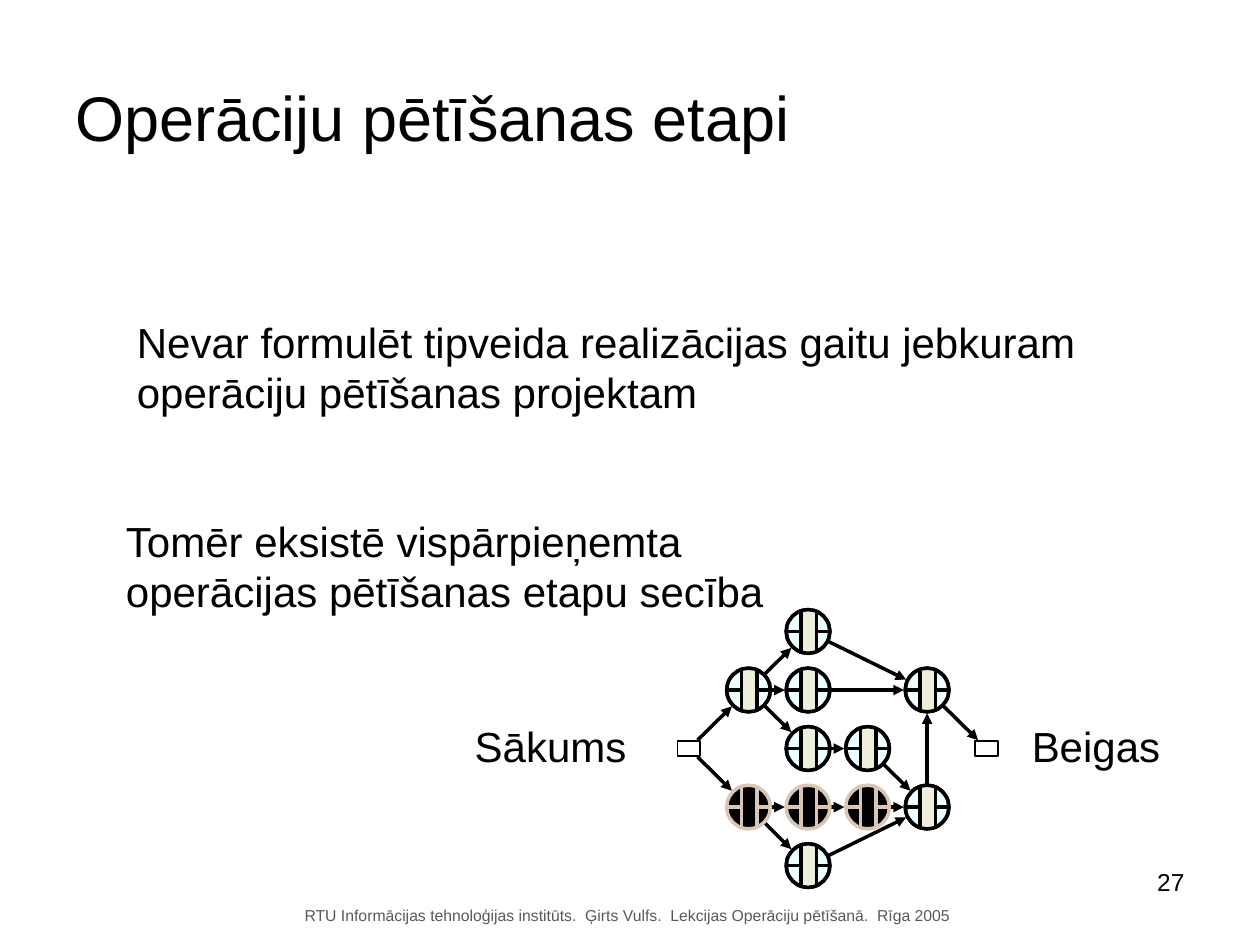
from dataclasses import dataclass
from math import hypot, sqrt

from lxml.etree import SubElement
from pptx import Presentation
from pptx.dml.color import RGBColor
from pptx.enum.shapes import MSO_CONNECTOR, MSO_SHAPE
from pptx.enum.text import MSO_ANCHOR, MSO_AUTO_SIZE, PP_ALIGN
from pptx.oxml.ns import qn
from pptx.util import Cm, Pt


@dataclass(frozen=True)
class Theme:
    font: str = "Arial"
    ink: str = "000000"
    muted: str = "595959"
    paper: str = "FFFFFF"
    disc: str = "EEFFFF"
    band: str = "EEEEDC"
    sand: str = "D9C6B4"
    title: int = 36
    body: int = 24
    number: int = 14
    footer: int = 9
    thin: int = 1
    thick: int = 2


THEME = Theme()

FOOTER = "RTU Informācijas tehnoloģijas institūts.  Ģirts Vulfs.  Lekcijas Operāciju pētīšanā.  Rīga 2005"
TEXTS = [
    ([FOOTER], (5.89, 18.14, 13.54, 0.64), THEME.footer, THEME.muted),
    (["Nevar formulēt tipveida realizācijas gaitu jebkuram", "operāciju pētīšanas projektam"],
     (2.51, 6.25, 19.43, 2.29), THEME.body, THEME.ink),
    (["Tomēr eksistē vispārpieņemta", "operācijas pētīšanas etapu secība"],
     (2.29, 10.26, 13.36, 2.29), THEME.body, THEME.ink),
    (["Sākums"], (9.32, 14.4, 3.56, 1.27), THEME.body, THEME.ink),
    (["Beigas"], (20.55, 14.4, 3.1, 1.27), THEME.body, THEME.ink),
]

START, END = (-1, 2), (4, 2)
LIGHT_NODES = [(1, 1), (3, 3), (1, 2), (2, 2), (1, 4), (0, 1), (3, 1), (1, 0)]
DARK_NODES = [(2, 3), (1, 3), (0, 3)]
ARROWS = [
    (START, (0, 1)), (START, (0, 3)),
    ((0, 1), (1, 2)), ((1, 2), (2, 2)), ((0, 1), (1, 0)), ((0, 1), (1, 1)),
    ((1, 1), (3, 1)), ((1, 0), (3, 1)), ((3, 1), END), ((3, 3), (3, 1)),
    ((2, 2), (3, 3)), ((1, 3), (2, 3)), ((2, 3), (3, 3)), ((1, 4), (3, 3)),
    ((0, 3), (1, 3)), ((0, 3), (1, 4)),
]

GRID_LEFT, GRID_TOP = 15.09, 12.73
COLUMN_STEP, ROW_STEP = 1.2, 1.18
RADIUS = 0.44
NODE_GAP, TERMINAL_GAP = 0.47, 0.24
BAND_LEFT, BAND_RIGHT, BAND_HALF = -0.14, 0.17, 0.39
BAND_STEPS = 4
TERMINAL_WIDTH, TERMINAL_HEIGHT = 0.46, 0.3


def color(code):
    return RGBColor.from_string(code)


def center(cell):
    column, row = cell
    return GRID_LEFT + column * COLUMN_STEP, GRID_TOP + row * ROW_STEP


def add_text(page, lines, place, size, ink, wrap=False, align=PP_ALIGN.LEFT, anchor=MSO_ANCHOR.TOP):
    box = page.shapes.add_textbox(*map(Cm, place))
    frame = box.text_frame
    frame.word_wrap = wrap
    frame.auto_size = MSO_AUTO_SIZE.NONE if wrap else MSO_AUTO_SIZE.SHAPE_TO_FIT_TEXT
    frame.vertical_anchor = anchor
    for index, line in enumerate(lines):
        para = frame.add_paragraph() if index else frame.paragraphs[0]
        para.alignment = align
        span = para.add_run()
        span.text = line
        span.font.name = THEME.font
        span.font.size = Pt(size)
        span.font.color.rgb = color(ink)


def paint(shape, fill, line, width):
    shape.shadow.inherit = False
    if fill:
        shape.fill.solid()
        shape.fill.fore_color.rgb = color(fill)
    else:
        shape.fill.background()
    shape.line.color.rgb = color(line)
    shape.line.width = Pt(width)


def add_line(group, start, finish, ink, arrow=False):
    line = group.shapes.add_connector(MSO_CONNECTOR.STRAIGHT, *map(Cm, (*start, *finish)))
    line.line.color.rgb = color(ink)
    line.line.width = Pt(THEME.thick)
    properties = line.element.spPr
    if arrow:
        SubElement(properties.find(qn("a:ln")), qn("a:tailEnd"), type="triangle")
    SubElement(properties, qn("a:effectLst"))


def add_arrow(group, source, target):
    (x1, y1), (x2, y2) = center(source), center(target)
    length = hypot(x2 - x1, y2 - y1)
    across, down = (x2 - x1) / length, (y2 - y1) / length
    leave = TERMINAL_GAP if source == START else NODE_GAP
    reach = TERMINAL_GAP if target == END else NODE_GAP
    add_line(group, (x1 + across * leave, y1 + down * leave),
             (x2 - across * reach, y2 - down * reach), THEME.ink, arrow=True)


def add_disc(group, x, y, fill, line):
    disc = group.shapes.add_shape(
        MSO_SHAPE.OVAL, *map(Cm, (x - RADIUS, y - RADIUS, 2 * RADIUS, 2 * RADIUS)))
    paint(disc, fill, line, THEME.thick)


def add_band(group, x, y, fill, line):
    step = (BAND_RIGHT - BAND_LEFT) / BAND_STEPS
    offsets = [BAND_LEFT + step * index for index in range(BAND_STEPS + 1)]
    arc = [(dx, sqrt(RADIUS ** 2 - dx ** 2)) for dx in offsets]
    points = [(Cm(x + dx), Cm(y - dy)) for dx, dy in arc]
    points += [(Cm(x + dx), Cm(y + dy)) for dx, dy in reversed(arc)]
    builder = group.shapes.build_freeform(*points[0])
    builder.add_line_segments(points[1:], close=True)
    paint(builder.convert_to_shape(), fill, line, THEME.thin)


def add_node(page, cell, dark):
    group = page.shapes.add_group_shape()
    x, y = center(cell)
    ink = THEME.sand if dark else THEME.ink
    if not dark:
        add_disc(group, x, y, THEME.disc, ink)
    add_band(group, x, y, THEME.ink if dark else THEME.band, ink)
    add_disc(group, x, y, THEME.ink if dark else None, ink)
    for side, edge in ((-RADIUS, BAND_LEFT), (RADIUS, BAND_RIGHT)):
        add_line(group, (x + min(side, edge), y), (x + max(side, edge), y), ink)
        add_line(group, (x + edge, y - BAND_HALF), (x + edge, y + BAND_HALF), ink)


def add_terminal(page, cell):
    x, y = center(cell)
    terminal = page.shapes.add_shape(
        MSO_SHAPE.RECTANGLE,
        *map(Cm, (x - TERMINAL_WIDTH / 2, y - TERMINAL_HEIGHT / 2, TERMINAL_WIDTH, TERMINAL_HEIGHT)))
    paint(terminal, THEME.paper, THEME.ink, THEME.thin)


def main():
    deck = Presentation()
    deck.slide_width, deck.slide_height = Cm(25.4), Cm(19.05)
    page = deck.slides.add_slide(deck.slide_layouts[6])

    add_text(page, ["Operāciju pētīšanas etapi"], (1.27, 0.76, 22.86, 3.18), THEME.title,
             THEME.ink, wrap=True, anchor=MSO_ANCHOR.MIDDLE)
    for lines, place, size, ink in TEXTS:
        add_text(page, lines, place, size, ink)

    arrows = page.shapes.add_group_shape()
    for source, target in ARROWS:
        add_arrow(arrows, source, target)
    for cell in LIGHT_NODES + DARK_NODES:
        add_node(page, cell, cell in DARK_NODES)
    for cell in (END, START):
        add_terminal(page, cell)

    add_text(page, ["27"], (22.1, 17.35, 2.03, 1.32), THEME.number, THEME.ink,
             wrap=True, align=PP_ALIGN.RIGHT)
    deck.save("out.pptx")


if __name__ == "__main__":
    main()
